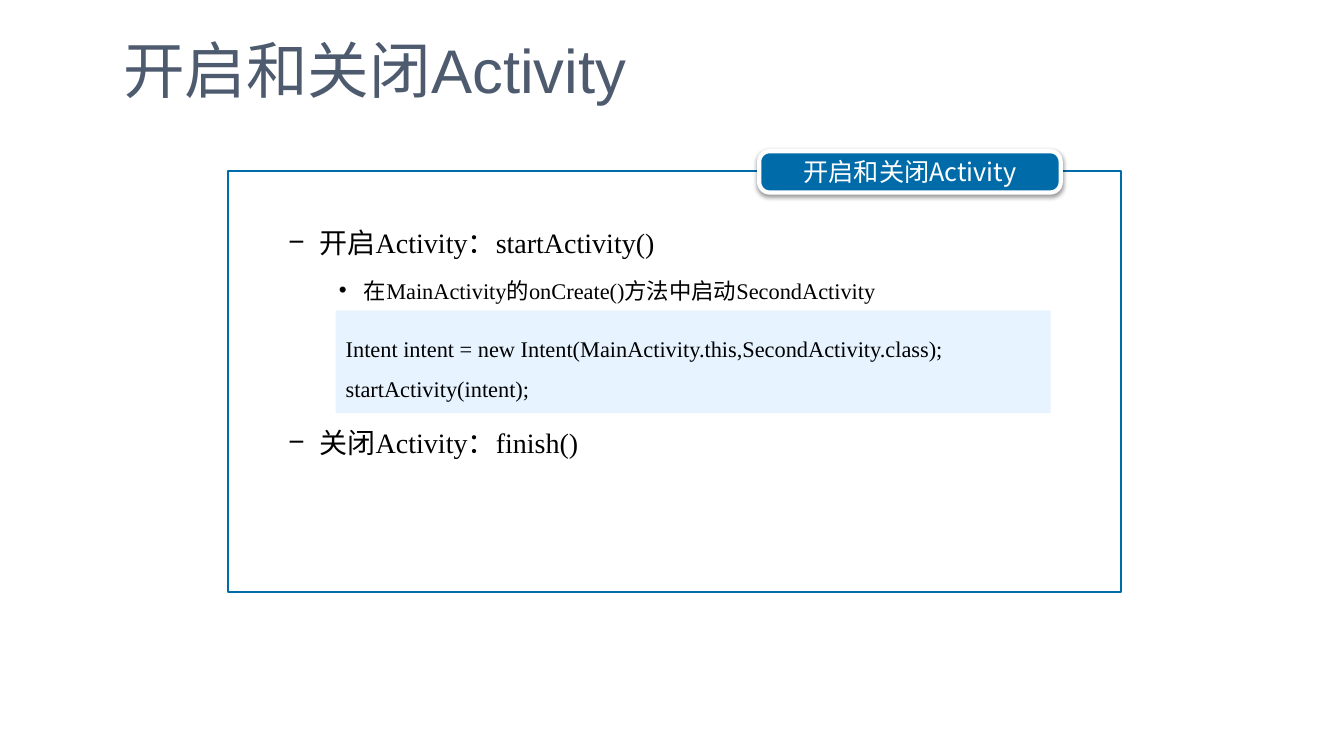
from pptx import Presentation
from pptx.dml.color import RGBColor
from pptx.enum.shapes import MSO_SHAPE
from pptx.enum.text import MSO_ANCHOR, MSO_AUTO_SIZE, PP_ALIGN
from pptx.oxml import parse_xml
from pptx.oxml.ns import nsdecls, qn
from pptx.util import Inches, Pt

COLORS = {
    "title": "4E5B6F",
    "blue": "006BA9",
    "code": "E7F4FF",
    "white": "FFFFFF",
    "black": "000000",
}
SANS, CJK, SERIF = "Arial", "Noto Sans CJK SC", "Times New Roman"


def color(name):
    return RGBColor.from_string(COLORS[name])


def place(shape, left, top, width, height):
    shape.left, shape.top = Inches(left), Inches(top)
    shape.width, shape.height = Inches(width), Inches(height)


def add_run(paragraph, text, size, color_name, latin):
    run = paragraph.add_run()
    run.text = text
    run.font.size = Pt(size)
    run.font.name = latin
    run.font.color.rgb = color(color_name)
    run.font._element.append(parse_xml(f'<a:ea {nsdecls("a")} typeface="{CJK}"/>'))


def add_title(slide, text):
    title = slide.shapes.title
    place(title, 1.12, 0.3, 7.63, 0.76)
    frame = title.text_frame
    frame.vertical_anchor = MSO_ANCHOR.MIDDLE
    frame.auto_size = MSO_AUTO_SIZE.NONE
    frame.paragraphs[0].alignment = PP_ALIGN.LEFT
    add_run(frame.paragraphs[0], text, 44, "title", SANS)


def add_bullet(paragraph, level, margin, hanging, bullet, before):
    paragraph.level = level
    paragraph.line_spacing = 1.5
    paragraph.space_before = Pt(before)
    properties = paragraph._element.get_or_add_pPr()
    properties.set("marL", str(Inches(margin)))
    properties.set("indent", str(-Inches(hanging)))
    properties.append(parse_xml(f'<a:buFont {nsdecls("a")} typeface="{SANS}"/>'))
    properties.append(parse_xml(f'<a:buChar {nsdecls("a")} char="{bullet}"/>'))


def add_body(slide, items):
    body = slide.placeholders[1]
    place(body, 2.26, 2.02, 8.81, 1.26)
    frame = body.text_frame
    frame.vertical_anchor = MSO_ANCHOR.TOP
    frame.auto_size = MSO_AUTO_SIZE.NONE
    for index, (level, before, runs) in enumerate(items):
        paragraph = frame.add_paragraph() if index else frame.paragraphs[0]
        if level == 1:
            add_bullet(paragraph, level, 0.81, 0.31, "−", before)
        else:
            add_bullet(paragraph, level, 1.25, 0.25, "•", before)
        for text, font in runs:
            add_run(paragraph, text, 20 if level == 1 else 16, "black", font)


def add_panel(slide, kind, box, fill=None, line=None, line_width=0):
    shape = slide.shapes.add_shape(kind, *map(Inches, box))
    shape.shadow.inherit = False
    if fill:
        shape.fill.solid()
        shape.fill.fore_color.rgb = color(fill)
    else:
        shape.fill.background()
    if line:
        shape.line.color.rgb = color(line)
        shape.line.width = Pt(line_width)
    else:
        shape.line.fill.background()
    shape.text_frame.word_wrap = True
    shape.text_frame.vertical_anchor = MSO_ANCHOR.MIDDLE
    return shape


def add_badge(slide, text):
    badge = add_panel(slide, MSO_SHAPE.ROUNDED_RECTANGLE,
                      (7.53, 1.5, 2.99, 0.41), "blue", "white", 3)
    badge.adjustments[0] = 0.25
    effects = badge._element.spPr.find(qn("a:effectLst"))
    effects.append(parse_xml(
        f'<a:outerShdw {nsdecls("a")} blurRad="{Pt(3.1)}" dist="{Pt(1.6)}" dir="5400000">'
        f'<a:srgbClr val="{COLORS["black"]}"><a:alpha val="38000"/></a:srgbClr></a:outerShdw>'))
    frame = badge.text_frame
    frame.margin_left = frame.margin_right = Inches(0.24)
    frame.margin_top = frame.margin_bottom = Inches(0.06)
    frame.paragraphs[0].alignment = PP_ALIGN.CENTER
    add_run(frame.paragraphs[0], text, 18, "white", CJK)


def add_code(slide, lines):
    code = add_panel(slide, MSO_SHAPE.RECTANGLE, (3.33, 3.08, 7.09, 1.02), "code")
    frame = code.text_frame
    for index, line in enumerate(lines):
        paragraph = frame.add_paragraph() if index else frame.paragraphs[0]
        paragraph.alignment = PP_ALIGN.LEFT
        paragraph.line_spacing = 1.5
        add_run(paragraph, line, 16, "black", SERIF)


def main():
    presentation = Presentation()
    presentation.slide_width, presentation.slide_height = Inches(13.33), Inches(7.5)
    slide = presentation.slides.add_slide(presentation.slide_layouts[1])
    heading = "开启和关闭Activity"
    add_title(slide, heading)
    add_body(slide, [
        (1, 0, [("开启", CJK), ("Activity：startActivity()", SERIF)]),
        (2, 3, [("在", CJK), ("MainActivity", SERIF), ("的", CJK),
                ("onCreate()", SERIF), ("方法中启动", CJK), ("SecondActivity", SERIF)]),
        (1, 75, [("关闭Activity：finish()", SERIF)]),
    ])
    add_panel(slide, MSO_SHAPE.RECTANGLE, (2.26, 1.7, 8.86, 4.17), line="blue", line_width=1.5)
    add_badge(slide, heading)
    add_code(slide, [
        "Intent intent = new Intent(MainActivity.this,SecondActivity.class);",
        "startActivity(intent);",
    ])
    presentation.save("out.pptx")


if __name__ == "__main__":
    main()
